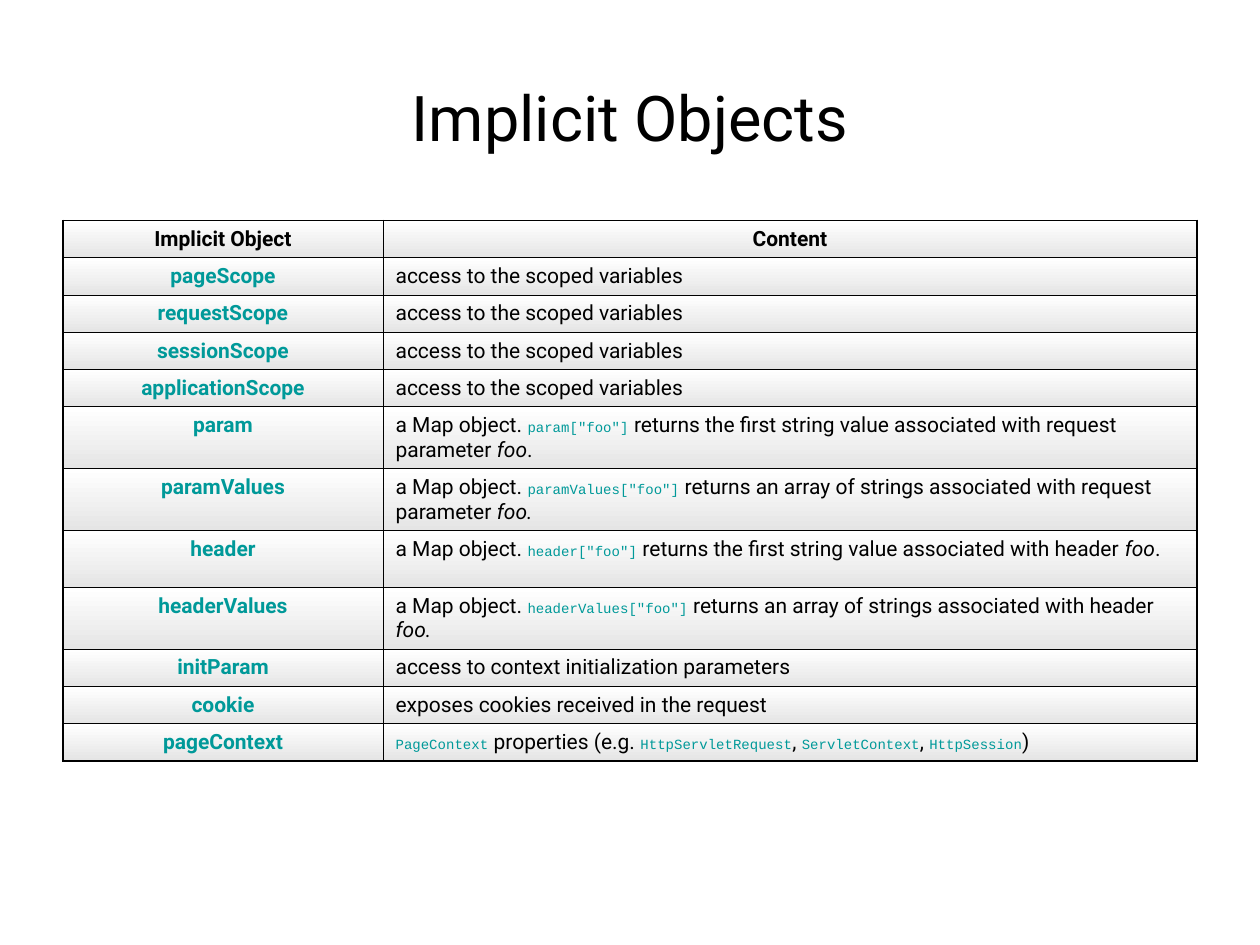
from pptx import Presentation
from pptx.dml.color import RGBColor
from pptx.enum.text import MSO_ANCHOR, PP_ALIGN
from pptx.util import Pt
from lxml import etree
from pptx.oxml.ns import qn

CENTER, LEFT = PP_ALIGN.CENTER, PP_ALIGN.LEFT
MIDDLE = MSO_ANCHOR.MIDDLE
BLACK = RGBColor(0, 0, 0)
TEAL = RGBColor(0x00, 0x99, 0x99)
WHITE = RGBColor(0xFF, 0xFF, 0xFF)
GRAY = RGBColor(0xE5, 0xE5, 0xE5)

# Run styles: font, size, colour, bold, italic
TITLE = ("Roboto", 36, BLACK, False, False)
HEAD = ("Roboto", 12, BLACK, True, False)
NAME = ("Roboto", 12, TEAL, True, False)
BODY = ("Roboto", 12, BLACK, False, False)
ITAL = ("Roboto", 12, BLACK, False, True)
CODE = ("Courier New", 8, TEAL, False, False)

# Content: object name, then the runs that describe it
SCOPED = [("access to the scoped variables", BODY)]
MAP = ("a Map object. ", BODY)
ROWS = [
    ("pageScope", SCOPED),
    ("requestScope", SCOPED),
    ("sessionScope", SCOPED),
    ("applicationScope", SCOPED),
    ("param", [
        MAP, ('param["foo"]', CODE),
        (" returns the first string value associated with request parameter ", BODY),
        ("foo", ITAL), (".", BODY)]),
    ("paramValues", [
        MAP, ('paramValues["foo"]', CODE),
        (" returns an array of strings associated with request parameter ", BODY),
        ("foo.", ITAL)]),
    ("header", [
        MAP, ('header["foo"]', CODE),
        (" returns the first string value associated with header ", BODY),
        ("foo", ITAL), (".", BODY)]),
    ("headerValues", [
        MAP, ('headerValues["foo"]', CODE),
        (" returns an array of strings associated with header ", BODY),
        ("foo.", ITAL)]),
    ("initParam", [("access to context initialization parameters", BODY)]),
    ("cookie", [("exposes cookies received in the request", BODY)]),
    ("pageContext", [
        ("PageContext", CODE), (" properties (e.g. ", BODY),
        ("HttpServletRequest", CODE), (", ", BODY),
        ("ServletContext", CODE), (", ", BODY),
        ("HttpSession", CODE), (")", BODY)]),
]
GRID = [([("Implicit Object", HEAD)], [("Content", HEAD)])]
GRID += [([(name, NAME)], runs) for name, runs in ROWS]

# Sizes in points
COLS = (182.88, 465.12)
LOW, TALL = 16.56, 32.4
THIN, THICK = 0.45, 1.08


def write(para, runs, align):
    para.alignment = align
    for text, (face, size, color, bold, ital) in runs:
        run = para.add_run()
        run.text = text
        font = run.font
        font.name, font.size = face, Pt(size)
        font.bold, font.italic = bold, ital
        font.color.rgb = color


def border(cell, sides):
    props = cell._tc.get_or_add_tcPr()
    for tag, width in sides:
        line = etree.SubElement(props, qn("a:" + tag), w=str(int(Pt(width))))
        fill = etree.SubElement(line, qn("a:solidFill"))
        etree.SubElement(fill, qn("a:srgbClr"), val=str(BLACK))


def shade(cell):
    cell.fill.gradient()
    cell.fill.gradient_angle = 270
    for stop, color in zip(cell.fill.gradient_stops, (WHITE, GRAY)):
        stop.color.rgb = color


deck = Presentation()
deck.slide_width, deck.slide_height = Pt(720), Pt(540)
slide = deck.slides.add_slide(deck.slide_layouts[5])

# Title
title = slide.shapes.title
title.left, title.top = Pt(36), Pt(21.6)
title.width, title.height = Pt(648), Pt(90)
title.text_frame.vertical_anchor = MIDDLE
write(title.text_frame.paragraphs[0], [("Implicit Objects", TITLE)], CENTER)

# Table: Map rows are tall, all others low
highs = [TALL if MAP in runs else LOW for _, runs in GRID]
table = slide.shapes.add_table(len(GRID), len(COLS), Pt(36), Pt(126),
                               Pt(sum(COLS)), Pt(sum(highs))).table
table.first_row = table.horz_banding = False
for col, width in zip(table.columns, COLS):
    col.width = Pt(width)

# Cells, with thick lines only around the outside
last = len(GRID) - 1
for r, (pair, high) in enumerate(zip(GRID, highs)):
    table.rows[r].height = Pt(high)
    for c, runs in enumerate(pair):
        cell = table.cell(r, c)
        outer = (("lnL", c == 0), ("lnR", c == 1),
                 ("lnT", r == 0), ("lnB", r == last))
        border(cell, [(tag, THICK if out else THIN) for tag, out in outer])
        shade(cell)
        align = CENTER if r == 0 or c == 0 else LEFT
        write(cell.text_frame.paragraphs[0], runs, align)

deck.save("out.pptx")
